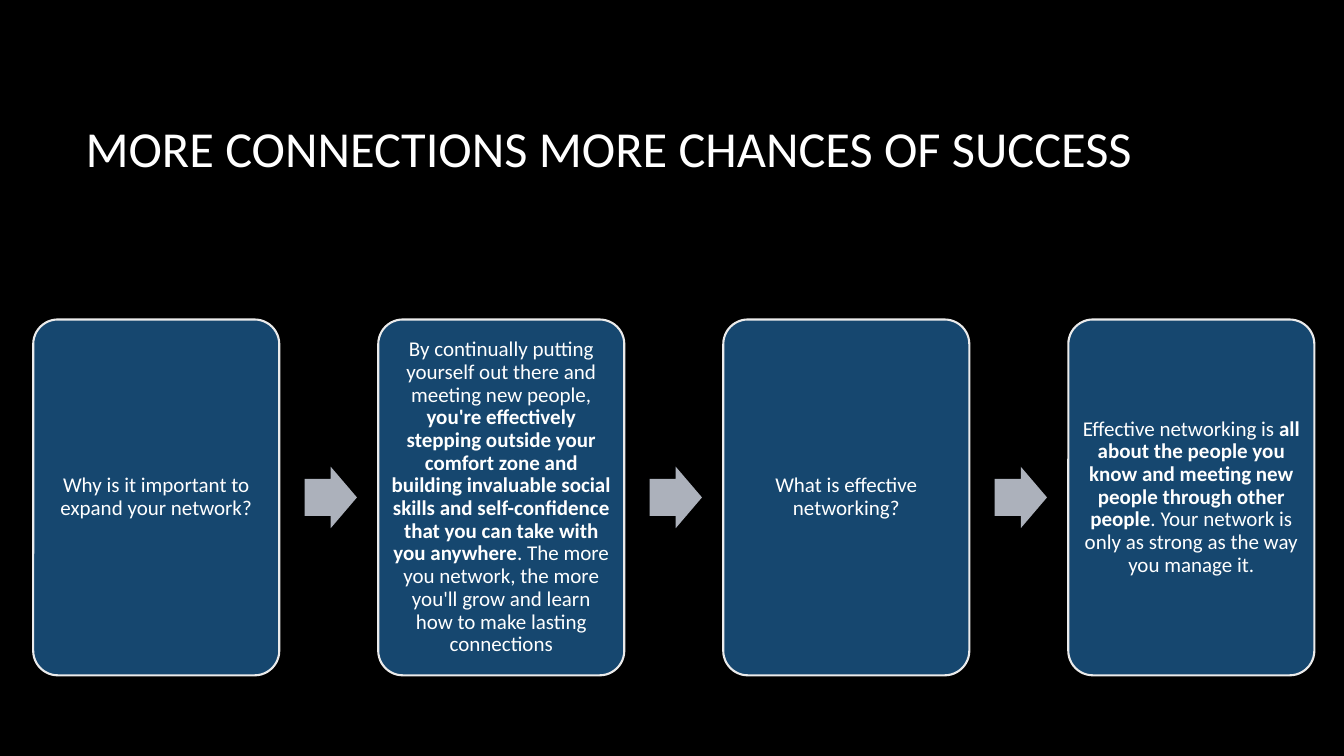
from pptx import Presentation
from pptx.dml.color import RGBColor
from pptx.enum.shapes import MSO_SHAPE as SHAPE
from pptx.enum.text import MSO_ANCHOR as ANCHOR, PP_ALIGN as ALIGN
from pptx.util import Inches, Pt


def rgb(value):
    return RGBColor.from_string(value)


def add_run(p, text, size, bold=False):
    r = p.add_run()
    r.text = text
    for name, value in {"name": "Calibri", "size": Pt(size), "bold": bold}.items():
        setattr(r.font, name, value)
    r.font.color.rgb = rgb("FFFFFF")


prs = Presentation()
prs.slide_width, prs.slide_height = Inches(13.33), Inches(7.5)
s = prs.slides.add_slide(prs.slide_layouts[6])
s.background.fill.solid()
s.background.fill.fore_color.rgb = rgb("000000")

# Title
title = s.shapes.add_textbox(Inches(0.75), Inches(0.67), Inches(11.08), Inches(1.59))
tf = title.text_frame
tf.word_wrap = True
tf.vertical_anchor = ANCHOR.MIDDLE
add_run(tf.paragraphs[0], "MORE CONNECTIONS MORE CHANCES OF SUCCESS", 36)

# Each card is a list of (text, bold) runs
cards = [
    [("Why is it important to expand your network?", False)],
    [("By continually putting yourself out there and meeting new people, ", False),
     ("you're effectively stepping outside your comfort zone and building "
      "invaluable social skills and self-confidence that you can take with "
      "you anywhere", True),
     (". The more you network, the more you'll grow and learn how to make "
      "lasting connections", False)],
    [("What is effective networking?", False)],
    [("Effective networking is ", False),
     ("all about the people you know and meeting new people through other "
      "people", True),
     (". Your network is only as strong as the way you manage it.", False)],
]
card_format = {"word_wrap": True, "vertical_anchor": ANCHOR.MIDDLE}
card_format.update({f"margin_{side}": Inches(0.06)
                    for side in ("left", "top", "right", "bottom")})
left, pitch = 0.33, 3.422

for i, runs in enumerate(cards):
    x = left + i * pitch

    # Card
    card = s.shapes.add_shape(SHAPE.ROUNDED_RECTANGLE, Inches(x), Inches(3.17),
                              Inches(2.44), Inches(3.53))
    card.adjustments[0] = 0.1
    card.shadow.inherit = False
    card.fill.solid()
    card.fill.fore_color.rgb = rgb("16476F")
    card.line.color.rgb = rgb("EBEBEB")
    card.line.width = Pt(1.5)
    tf = card.text_frame
    for name, value in card_format.items():
        setattr(tf, name, value)
    p = tf.paragraphs[0]
    p.alignment = ALIGN.CENTER
    p.line_spacing = 0.9
    for text, bold in runs:
        add_run(p, text, 15, bold)

    # Arrow to the next card
    if i < len(cards) - 1:
        arrow = s.shapes.add_shape(SHAPE.RIGHT_ARROW, Inches(x + 2.69), Inches(4.63),
                                   Inches(0.52), Inches(0.61))
        arrow.adjustments[0] = 0.6
        arrow.adjustments[1] = 0.5
        arrow.shadow.inherit = False
        arrow.fill.solid()
        arrow.fill.fore_color.rgb = rgb("ACB1BB")
        arrow.line.fill.background()

prs.save("out.pptx")
